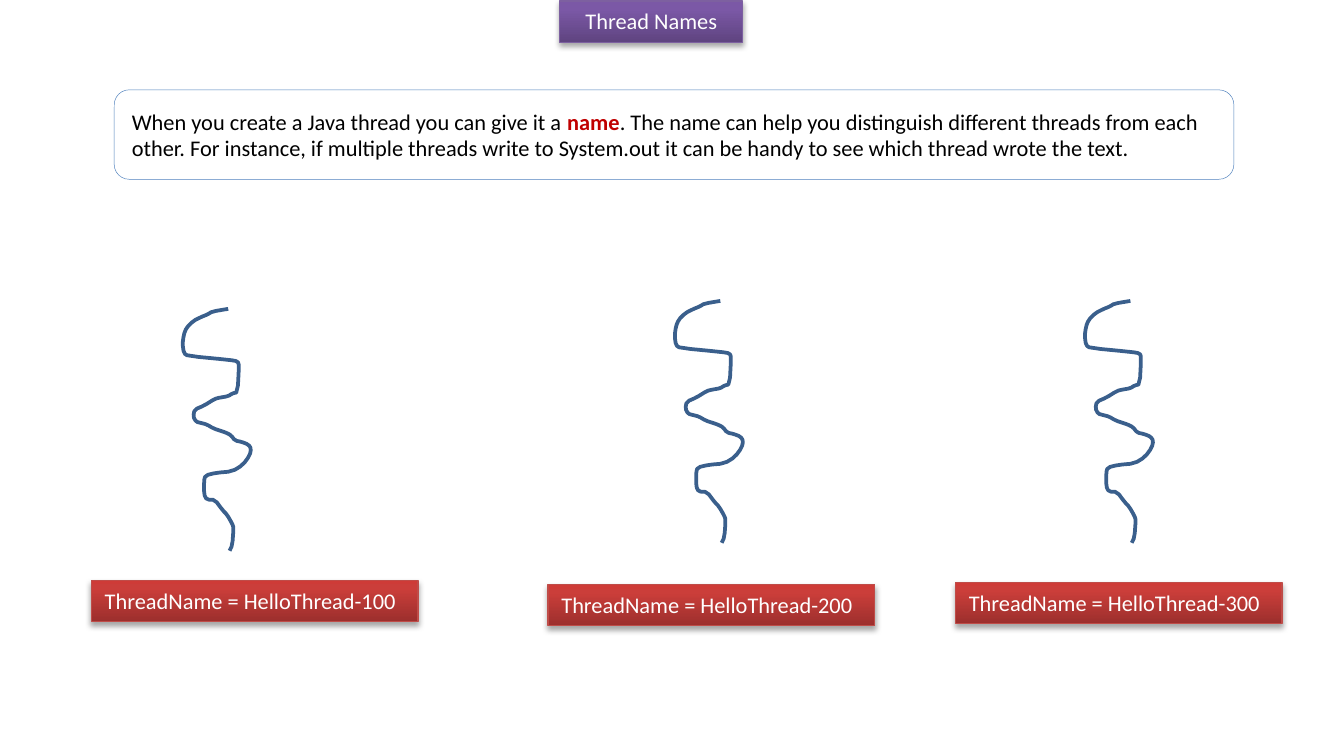
from copy import deepcopy
from dataclasses import dataclass

from lxml import etree
from pptx import Presentation
from pptx import util as u
from pptx.dml.color import RGBColor
from pptx.enum import shapes, text
from pptx.oxml.ns import qn

WHITE = RGBColor(0xFF, 0xFF, 0xFF)
BLACK = RGBColor(0, 0, 0)
SQUIGGLE_BLUE = RGBColor(0x3A, 0x5F, 0x8C)
FRAME_BLUE = RGBColor(0x4F, 0x81, 0xBD)
NAME_RED = RGBColor(0xC0, 0, 0)

GRADIENT_POSITIONS = (0, 0.8, 1)
LABEL_WIDTH = u.Cm(6.17)
BANNER_HEIGHT = u.Cm(0.78)
SQUIGGLE_UNIT = u.Cm(0.0254)

# Bends of a thread, from its top left corner, in squiggle units
THREAD_BENDS = [
    (34, 0), (22, 2), (19, 4), (14, 6), (8, 9), (3, 14), (1, 19), (0, 26),
    (1, 33), (4, 35), (35, 38), (41, 39), (42, 42), (41, 62), (37, 63),
    (34, 65), (28, 66), (24, 67), (16, 72), (9, 75), (8, 80), (10, 84),
    (14, 85), (18, 86), (23, 89), (29, 91), (32, 92), (36, 94), (39, 98),
    (44, 99), (49, 101), (51, 104), (50, 109), (45, 116), (37, 121),
    (25, 122), (17, 124), (16, 128), (16, 138), (18, 142), (24, 142),
    (30, 150), (33, 153), (37, 160), (38, 163), (37, 176), (35, 180),
]


@dataclass(frozen=True)
class Palette:
    stops: tuple[RGBColor, ...]
    edge: RGBColor


@dataclass(frozen=True)
class Thread:
    number: int
    squiggle_left: float
    squiggle_top: float
    label_left: float
    label_top: float


PURPLE = Palette(
    tuple(map(RGBColor.from_string, ("5F4480", "7B58A6", "7C57A8"))),
    RGBColor(0x7D, 0x60, 0xA0),
)
RED = Palette(
    tuple(map(RGBColor.from_string, ("9C2F2D", "CB3E3A", "CE3B37"))),
    RGBColor(0xBF, 0x4C, 0x48),
)

THREADS = [
    Thread(100, 3.45, 5.84, 1.73, 10.97),
    Thread(200, 12.75, 5.69, 10.36, 11.05),
    Thread(300, 20.5, 5.69, 18.06, 11.01),
]

DESCRIPTION = [
    ("When you create a Java thread you can give it a ", BLACK, False),
    ("name", NAME_RED, True),
    (". The name can help you distinguish different threads from each other. "
     "For instance, if multiple threads write to System.out it can be handy "
     "to see which thread wrote the text.", BLACK, False),
]


def add_run(paragraph, wording: str, color: RGBColor, bold: bool = False) -> None:
    run = paragraph.add_run()
    run.text = wording
    run.font.color.rgb = color
    for attribute, value in {"name": "Calibri", "size": u.Pt(12), "bold": bold}.items():
        setattr(run.font, attribute, value)


def fill_gradient(shape, palette: Palette) -> None:
    """Fill from the bottom up with the palette's three stops."""
    shape.fill.gradient()
    stop_list = shape.element.spPr.find(qn("a:gradFill")).find(qn("a:gsLst"))
    stop_list.append(deepcopy(stop_list[0]))
    for stop, position, color in zip(
        shape.fill.gradient_stops, GRADIENT_POSITIONS, palette.stops
    ):
        stop.position = position
        stop.color.rgb = color
    shape.fill.gradient_angle = 90


def cast_shadow(shape) -> None:
    """Add a soft black shadow straight below the shape."""
    shape.shadow.inherit = False
    effects = shape.element.spPr.find(qn("a:effectLst"))
    shadow = etree.SubElement(
        effects, qn("a:outerShdw"),
        blurRad="40000", dist="23000", dir="5400000", rotWithShape="0",
    )
    black = etree.SubElement(shadow, qn("a:srgbClr"), val="000000")
    etree.SubElement(black, qn("a:alpha"), val="35000")


def add_banner(slide, wording: str, left: float, top: float, width: int,
               palette: Palette, format_values: dict) -> None:
    banner = slide.shapes.add_shape(
        shapes.MSO_SHAPE.RECTANGLE, u.Cm(left), u.Cm(top), width, BANNER_HEIGHT
    )
    fill_gradient(banner, palette)
    banner.line.color.rgb = palette.edge
    banner.line.width = u.Pt(0.75)
    cast_shadow(banner)
    frame = banner.text_frame
    frame.vertical_anchor = text.MSO_ANCHOR.TOP
    frame.auto_size = text.MSO_AUTO_SIZE.SHAPE_TO_FIT_TEXT
    frame.word_wrap = format_values["word_wrap"]
    frame.paragraphs[0].alignment = format_values["alignment"]
    add_run(frame.paragraphs[0], wording, WHITE)


def round_corners(bends: list) -> list:
    """Cut each corner a quarter of the way along its two sides."""
    rounded = [bends[0]]
    for (x1, y1), (x2, y2) in zip(bends, bends[1:]):
        for share in (0.25, 0.75):
            rounded.append((x1 + share * (x2 - x1), y1 + share * (y2 - y1)))
    return rounded + [bends[-1]]


def add_squiggle(slide, left: float, top: float) -> None:
    points = [
        (u.Cm(left) + x * SQUIGGLE_UNIT, u.Cm(top) + y * SQUIGGLE_UNIT)
        for x, y in round_corners(THREAD_BENDS)
    ]
    builder = slide.shapes.build_freeform(*points[0])
    builder.add_line_segments(points[1:], close=False)
    squiggle = builder.convert_to_shape()
    squiggle.fill.background()
    squiggle.line.color.rgb = SQUIGGLE_BLUE
    squiggle.line.width = u.Pt(2)
    squiggle.shadow.inherit = False


def add_description(slide) -> None:
    description = slide.shapes.add_shape(
        shapes.MSO_SHAPE.ROUNDED_RECTANGLE,
        u.Cm(2.16), u.Cm(1.7), u.Cm(21.16), u.Cm(1.69),
    )
    description.fill.solid()
    description.fill.fore_color.rgb = WHITE
    description.line.color.rgb = FRAME_BLUE
    description.line.width = u.Pt(0.25)
    description.shadow.inherit = False
    frame = description.text_frame
    frame.word_wrap = True
    frame.vertical_anchor = text.MSO_ANCHOR.MIDDLE
    frame.paragraphs[0].alignment = text.PP_ALIGN.LEFT
    for wording, color, bold in DESCRIPTION:
        add_run(frame.paragraphs[0], wording, color, bold)


def main() -> None:
    presentation = Presentation()
    presentation.slide_width = u.Cm(25.4)
    presentation.slide_height = u.Cm(13.97)
    slide = presentation.slides.add_slide(presentation.slide_layouts[6])

    title_format = {"word_wrap": True, "alignment": text.PP_ALIGN.CENTER}
    label_format = {"word_wrap": False, "alignment": text.PP_ALIGN.LEFT}
    add_banner(slide, "Thread Names", 10.58, 0.02, u.Cm(3.46), PURPLE, title_format)
    for thread in THREADS:
        add_squiggle(slide, thread.squiggle_left, thread.squiggle_top)
        add_banner(slide, f"ThreadName = HelloThread-{thread.number}",
                   thread.label_left, thread.label_top, LABEL_WIDTH, RED, label_format)
    add_description(slide)
    presentation.save("out.pptx")


if __name__ == "__main__":
    main()
